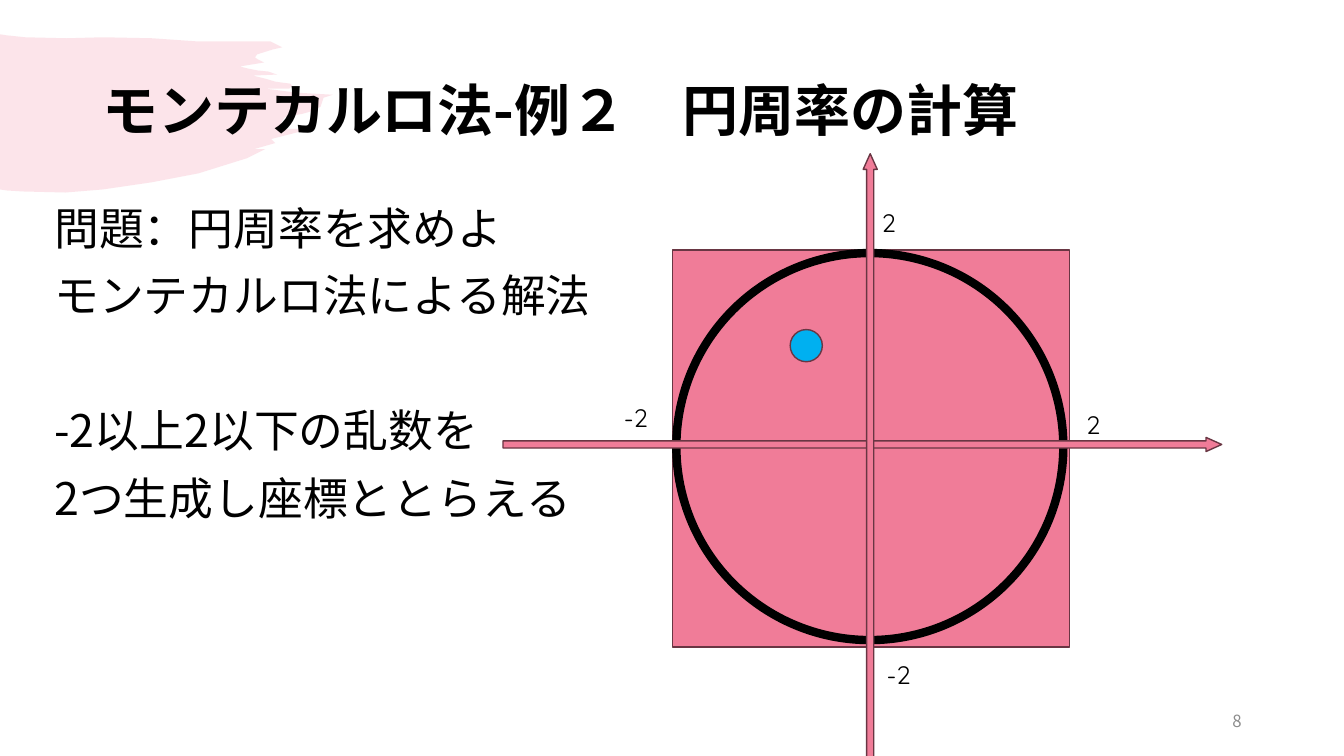
from dataclasses import dataclass

from lxml import etree
from pptx import Presentation
from pptx.dml.color import RGBColor
from pptx.enum.shapes import MSO_SHAPE
from pptx.enum.text import MSO_ANCHOR, PP_ALIGN
from pptx.oxml.ns import qn
from pptx.util import Pt

SQUARE = MSO_SHAPE.FLOWCHART_PROCESS
CIRCLE = MSO_SHAPE.FLOWCHART_CONNECTOR
ARROW = MSO_SHAPE.RIGHT_ARROW
TOP, MIDDLE = MSO_ANCHOR.TOP, MSO_ANCHOR.MIDDLE
LEFT, RIGHT = PP_ALIGN.LEFT, PP_ALIGN.RIGHT


@dataclass(frozen=True)
class Theme:
    pink: str = "F07C98"
    outline: str = "693643"
    black: str = "000000"
    blue: str = "00B0F0"
    gray: str = "8C8C8C"
    japanese: str = "Noto Sans CJK JP"
    latin: str = "Quicksand"
    title: int = 40
    body: int = 32
    label: int = 18
    number: int = 12


THEME = Theme()

# Edge of the brush stroke, in hundredths of an inch from its top left corner
BRUSH_EDGE = [
    (0, 0), (6, 1), (25, 3), (66, 4), (102, 3), (151, 4), (194, 7), (248, 7),
    (268, 7), (280, 13), (271, 15), (255, 20), (253, 23), (256, 25), (262, 28),
    (238, 32), (246, 34), (256, 36), (266, 37), (275, 40), (251, 41), (263, 44),
    (273, 47), (280, 48), (288, 49), (290, 51), (287, 54), (284, 54), (263, 54),
    (295, 58), (330, 60), (321, 63), (318, 72), (307, 77), (300, 79), (283, 82),
    (280, 86), (278, 91), (274, 94), (308, 94), (269, 104), (273, 108),
    (252, 114), (263, 114), (245, 123), (197, 138), (150, 147), (102, 154),
    (65, 157), (23, 156), (7, 155), (0, 154),
]


def style_shape(shape, fill, line=THEME.outline, width=1):
    shape.shadow.inherit = False
    shape.fill.solid()
    shape.fill.fore_color.rgb = RGBColor.from_string(fill)
    shape.line.color.rgb = RGBColor.from_string(line)
    shape.line.width = Pt(width)


def add_shape(slide, kind, box, fill, **line_style):
    shape = slide.shapes.add_shape(kind, *map(Pt, box))
    style_shape(shape, fill, **line_style)
    return shape


def add_text(slide, box, lines, size, font=THEME.japanese, color=THEME.black,
             bold=False, anchor=TOP, **paragraph_format):
    """Write one paragraph per line and return the paragraphs."""
    frame = slide.shapes.add_textbox(*map(Pt, box)).text_frame
    frame.word_wrap = True
    frame.vertical_anchor = anchor
    frame.text = "\n".join(lines)
    font_format = {"size": Pt(size), "name": font, "bold": bold}
    for paragraph in frame.paragraphs:
        for name, value in paragraph_format.items():
            setattr(paragraph, name, value)
        for run in paragraph.runs:
            for name, value in font_format.items():
                setattr(run.font, name, value)
            run.font.color.rgb = RGBColor.from_string(color)
            east_asian = etree.SubElement(run.font._element, qn("a:ea"))
            east_asian.set("typeface", font)
    return frame.paragraphs


def add_brush_stroke(slide, left, top):
    builder = slide.shapes.build_freeform(*BRUSH_EDGE[0], scale=Pt(0.72))
    builder.add_line_segments(BRUSH_EDGE[1:])
    stroke = builder.convert_to_shape(Pt(left), Pt(top))
    style_shape(stroke, THEME.pink)
    stroke.line.fill.background()
    color = stroke.fill._xPr.find(qn("a:solidFill"))[0]
    etree.SubElement(color, qn("a:alpha")).set("val", "20000")


def add_problem(slide, box):
    lines = ["問題：円周率を求めよ", "モンテカルロ法による解法",
             "-2以上2以下の乱数を", "2つ生成し座標ととらえる"]
    paragraphs = add_text(slide, box, lines, THEME.body,
                          space_before=Pt(10), line_spacing=Pt(38.2))
    paragraphs[2].space_before = Pt(58.2)


def add_axis(slide, center_x, center_y, rotation):
    length, thickness = 513.4, 10.1
    box = (center_x - length / 2, center_y - thickness / 2, length, thickness)
    axis = add_shape(slide, ARROW, box, THEME.pink)
    axis.adjustments[0] = 0.5
    axis.adjustments[1] = 1.11
    axis.rotation = rotation


def add_plot(slide, left, top, side):
    """Draw the square, its inscribed circle, the axes and a random point."""
    center_x, center_y = left + side / 2, top + side / 2
    add_shape(slide, SQUARE, (left, top, side, side), THEME.pink)
    add_shape(slide, CIRCLE, (left + 2.9, top + 2.2, side - 7.2, side - 7.2),
              THEME.pink, line=THEME.black, width=6)
    add_axis(slide, center_x - 6, center_y - 2.9, 0)
    add_axis(slide, center_x - 0.4, center_y + 46.1, 270)
    labels = [("-2", left - 41.7, center_y - 36.7),
              ("2", left + side + 5, center_y - 31.7),
              ("-2", center_x + 4.3, top + side + 5),
              ("2", center_x + 0.7, top - 33.9)]
    for value, x, y in labels:
        add_text(slide, (x, y, 72, 28.8), [value], THEME.label, THEME.latin)
    add_shape(slide, CIRCLE, (center_x - 57.6, center_y - 85, 23, 23), THEME.blue)


def main():
    presentation = Presentation()
    presentation.slide_width, presentation.slide_height = Pt(960), Pt(540)
    slide = presentation.slides.add_slide(presentation.slide_layouts[6])
    add_brush_stroke(slide, 0, 24.5)
    add_text(slide, (66, 28.8, 828, 104.4), ["モンテカルロ法-例２　円周率の計算"],
             THEME.title, bold=True, anchor=MIDDLE, line_spacing=0.9)
    add_text(slide, (678, 500.4, 216, 28.8), ["8"], THEME.number,
             color=THEME.gray, anchor=MIDDLE, alignment=RIGHT)
    add_problem(slide, (31.7, 139.7, 885.6, 389.5))
    add_plot(slide, 480.2, 178.6, 283.6)
    presentation.save("out.pptx")


if __name__ == "__main__":
    main()
